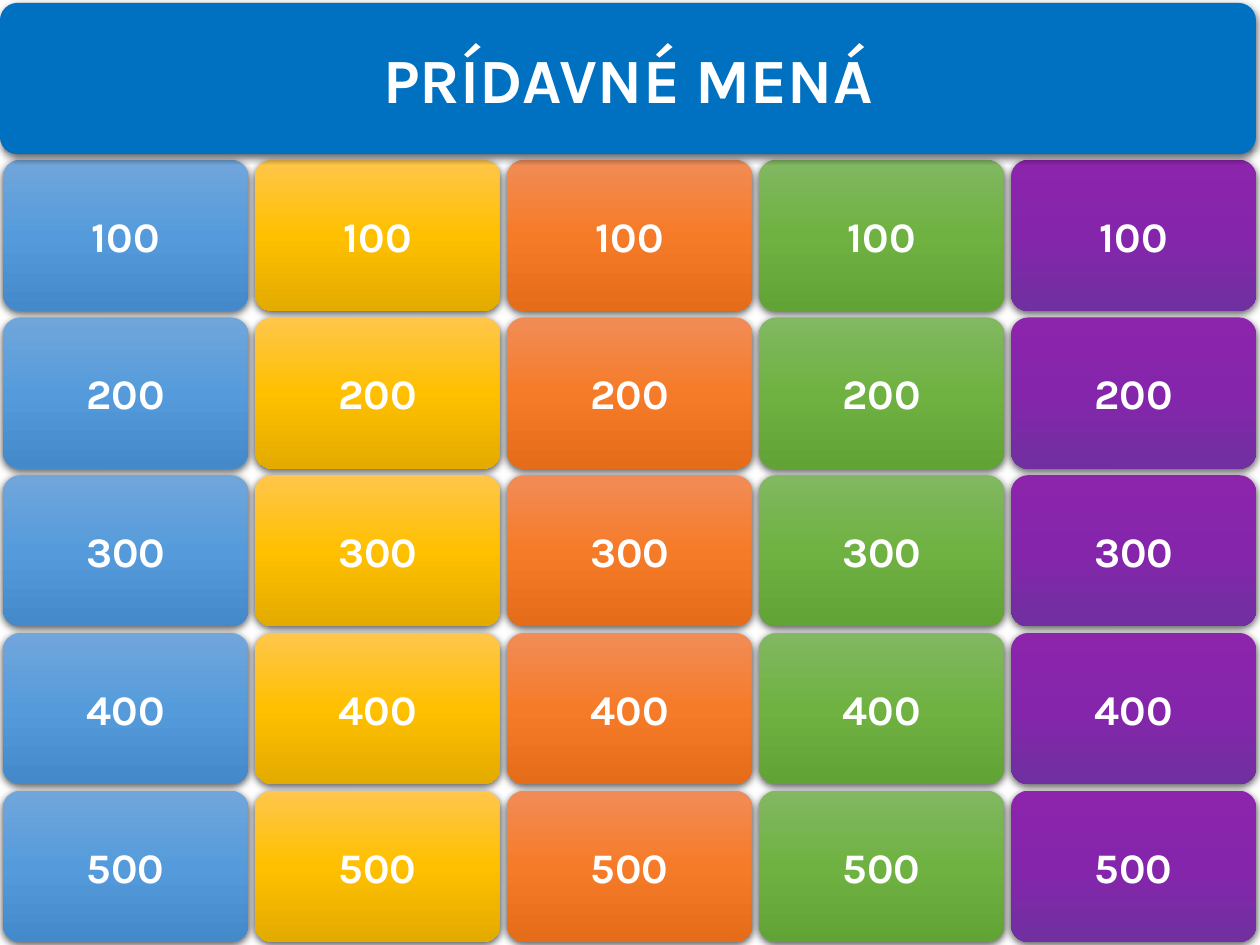
from copy import deepcopy

from pptx import Presentation
from pptx.dml.color import RGBColor
from pptx.enum.shapes import MSO_SHAPE
from pptx.enum.text import MSO_ANCHOR, PP_ALIGN
from pptx.oxml import parse_xml
from pptx.oxml.ns import nsdecls, qn
from pptx.util import Cm, Pt

WHITE = RGBColor(0xFF, 0xFF, 0xFF)
NAVY = RGBColor(0x00, 0x70, 0xC0)
BLUE = (RGBColor(0x71, 0xA6, 0xDB), RGBColor(0x55, 0x9B, 0xDB), RGBColor(0x44, 0x8A, 0xCA))
GOLD = (RGBColor(0xFF, 0xC6, 0x4B), RGBColor(0xFF, 0xC0, 0x00), RGBColor(0xE3, 0xAB, 0x00))
ORANGE = (RGBColor(0xF1, 0x8C, 0x57), RGBColor(0xF6, 0x7B, 0x28), RGBColor(0xE5, 0x6C, 0x19))
GREEN = (RGBColor(0x81, 0xB8, 0x61), RGBColor(0x6F, 0xB2, 0x42), RGBColor(0x62, 0xA3, 0x36))
PURPLE = (RGBColor(0x8C, 0x24, 0xAC), RGBColor(0x85, 0x25, 0xAB), RGBColor(0x70, 0x30, 0xA0))

SHADOW = f"""<a:effectLst {nsdecls("a")}>
  <a:outerShdw blurRad="57150" dist="19050" dir="5400000" algn="ctr" rotWithShape="0">
    <a:srgbClr val="000000"><a:alpha val="63000"/></a:srgbClr>
  </a:outerShdw>
</a:effectLst>"""


def write(frame, text, size=24, font="Karla", color=WHITE, bold=True):
    frame.word_wrap = True
    frame.vertical_anchor = MSO_ANCHOR.MIDDLE
    para = frame.paragraphs[0]
    para.alignment = PP_ALIGN.CENTER
    run = para.add_run()
    run.text = text
    run.font.size = Pt(size)
    run.font.name = font
    run.font.bold = bold
    run.font.color.rgb = color


class Board:
    def __init__(self, slide):
        self.slide = slide
        self.height = 3.05
        self.round = 0.115

    def card(self, text, left, top, width, **style):
        card = self.slide.shapes.add_shape(
            MSO_SHAPE.ROUNDED_RECTANGLE, Cm(left), Cm(top), Cm(width), Cm(self.height))
        card.adjustments[0] = self.round
        card.line.fill.background()
        card.element.spPr.append(parse_xml(SHADOW))
        write(card.text_frame, text, **style)
        return card

    def title(self, text, left, top, width):
        card = self.card(text, left, top, width, size=36)
        card.fill.solid()
        card.fill.fore_color.rgb = NAVY

    def tile(self, text, left, top, shades):
        card = self.card(text, left, top, 4.95)
        card.fill.gradient()
        card.fill.gradient_angle = 270
        stops = card.element.spPr.find(".//" + qn("a:gsLst"))
        stops.append(deepcopy(stops[0]))
        for i, (stop, shade) in enumerate(zip(card.fill.gradient_stops, shades)):
            stop.position = i / 2
            stop.color.rgb = shade


def main():
    deck = Presentation()
    deck.slide_width, deck.slide_height = Cm(25.4), Cm(19.05)
    board = Board(deck.slides.add_slide(deck.slide_layouts[6]))
    for col, shades in enumerate((BLUE, GOLD, ORANGE, GREEN, PURPLE)):
        for row in range(5):
            board.tile(str(100 * (row + 1)), 0.06 + 5.08 * col, 3.22 + 3.18 * row, shades)
    board.title("PRÍDAVNÉ MENÁ", 0, 0.06, 25.32)
    deck.save("out.pptx")


if __name__ == "__main__":
    main()
